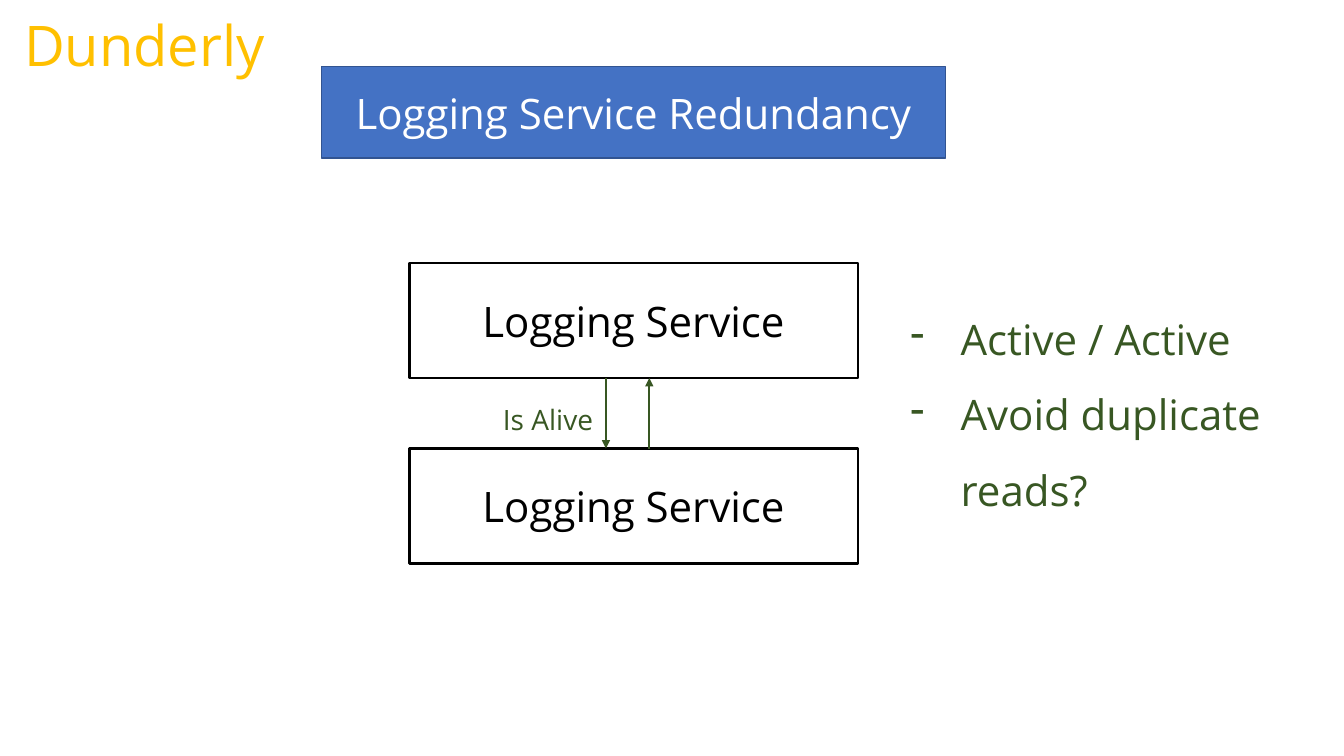
from lxml.etree import SubElement
from pptx import Presentation
from pptx.dml.color import RGBColor
from pptx.enum.shapes import MSO_CONNECTOR as Connector, MSO_SHAPE as Shape
from pptx.enum.text import MSO_ANCHOR as Anchor, MSO_AUTO_SIZE as AutoSize, PP_ALIGN as Align
from pptx.oxml.ns import qn
from pptx.util import Pt

PX = 9144
GREEN = "385723"


def color(value):
    return RGBColor.from_string(value)


def write(shape, *lines, size=30, ink=GREEN, align=Align.LEFT, spacing=None, bullet=None):
    frame = shape.text_frame
    frame.word_wrap = True
    for index, line in enumerate(lines):
        para = frame.paragraphs[0] if index == 0 else frame.add_paragraph()
        para.alignment = align
        if spacing:
            para.line_spacing = spacing
        if bullet:
            props = para._p.get_or_add_pPr()
            props.set("marL", str(50 * PX))
            props.set("indent", str(-50 * PX))
            SubElement(props, qn("a:buChar"), char=bullet)
        span = para.add_run()
        span.text = line
        span.font.name = "Open Sans"
        span.font.size = Pt(size)
        span.font.color.rgb = color(ink)


deck = Presentation()
deck.slide_width = 1333 * PX
deck.slide_height = 750 * PX
page = deck.slides.add_slide(deck.slide_layouts[6])

boxes = [
    ("Logging Service Redundancy", (319, 66, 619, 91), "4472C4", "325491", 1, "FFFFFF"),
    ("Logging Service", (406, 261, 445, 114), None, "000000", 2, "000000"),
    ("Logging Service", (406, 445, 445, 114), None, "000000", 2, "000000"),
]
for text, area, fill, edge, weight, ink in boxes:
    box = page.shapes.add_shape(Shape.RECTANGLE, *[length * PX for length in area])
    box.shadow.inherit = False
    if fill:
        box.fill.solid()
        box.fill.fore_color.rgb = color(fill)
    else:
        box.fill.background()
    box.line.color.rgb = color(edge)
    box.line.width = Pt(weight)
    box.text_frame.vertical_anchor = Anchor.MIDDLE
    write(box, text, ink=ink, align=Align.CENTER)

for x, arrowhead in [(601, "a:tailEnd"), (644, "a:headEnd")]:
    arrow = page.shapes.add_connector(Connector.STRAIGHT, x * PX, 375 * PX, x * PX, 445 * PX)
    arrow.line.color.rgb = color(GREEN)
    arrow.line.width = Pt(1.5)
    SubElement(arrow.line._get_or_add_ln(), qn(arrowhead), type="triangle")
    SubElement(arrow._element.spPr, qn("a:effectLst"))

labels = [
    (["Dunderly"], (14, 6, 275, 77), dict(size=40, ink="FFC000")),
    (["Active / Active", "Avoid duplicate reads?"], (893, 281, 400, 227), dict(spacing=1.5, bullet="-")),
    (["Is Alive"], (489, 378, 124, 54), dict(size=20, spacing=1.5)),
]
for lines, area, style in labels:
    label = page.shapes.add_textbox(*[length * PX for length in area])
    label.text_frame.auto_size = AutoSize.SHAPE_TO_FIT_TEXT
    write(label, *lines, **style)

deck.save("out.pptx")
